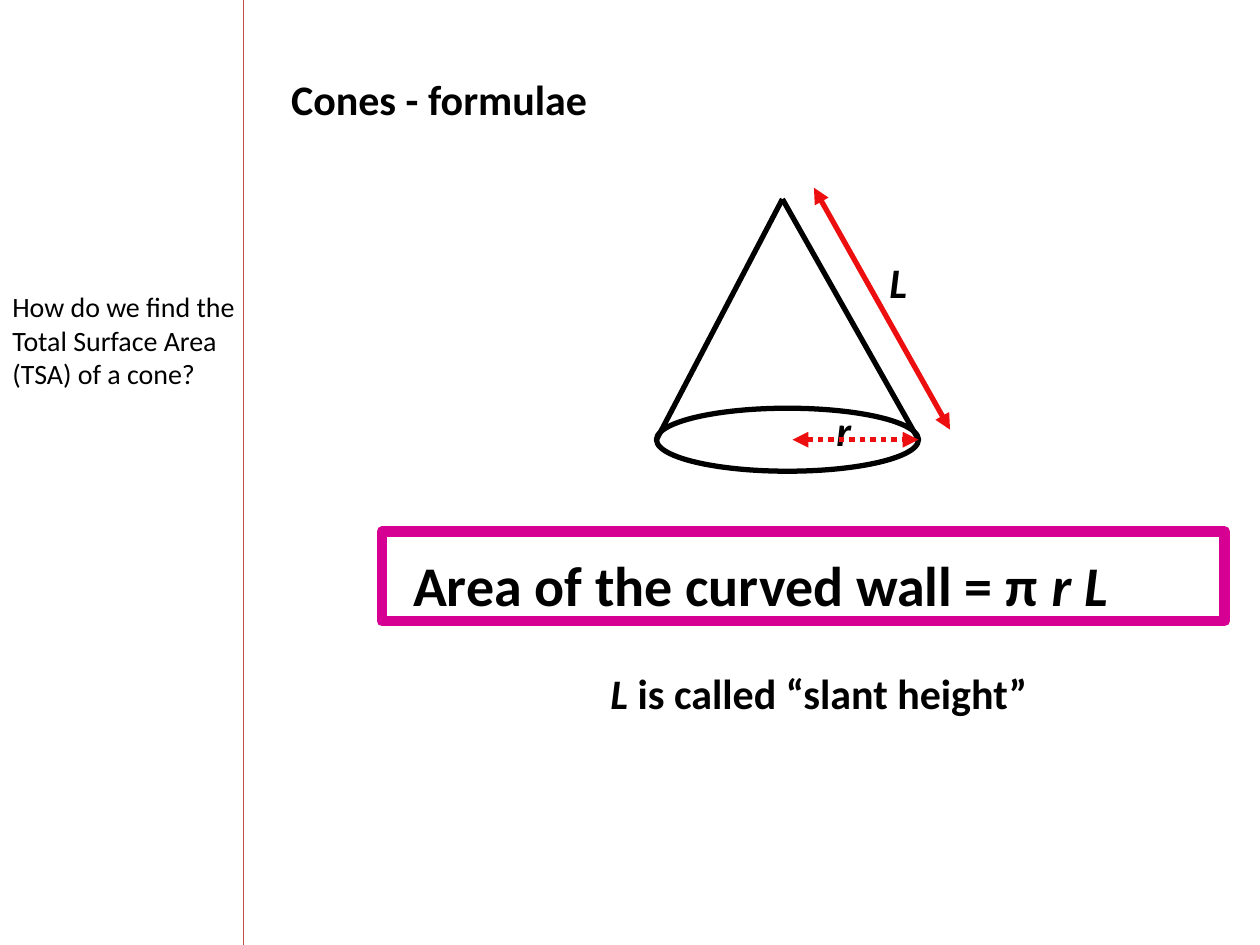
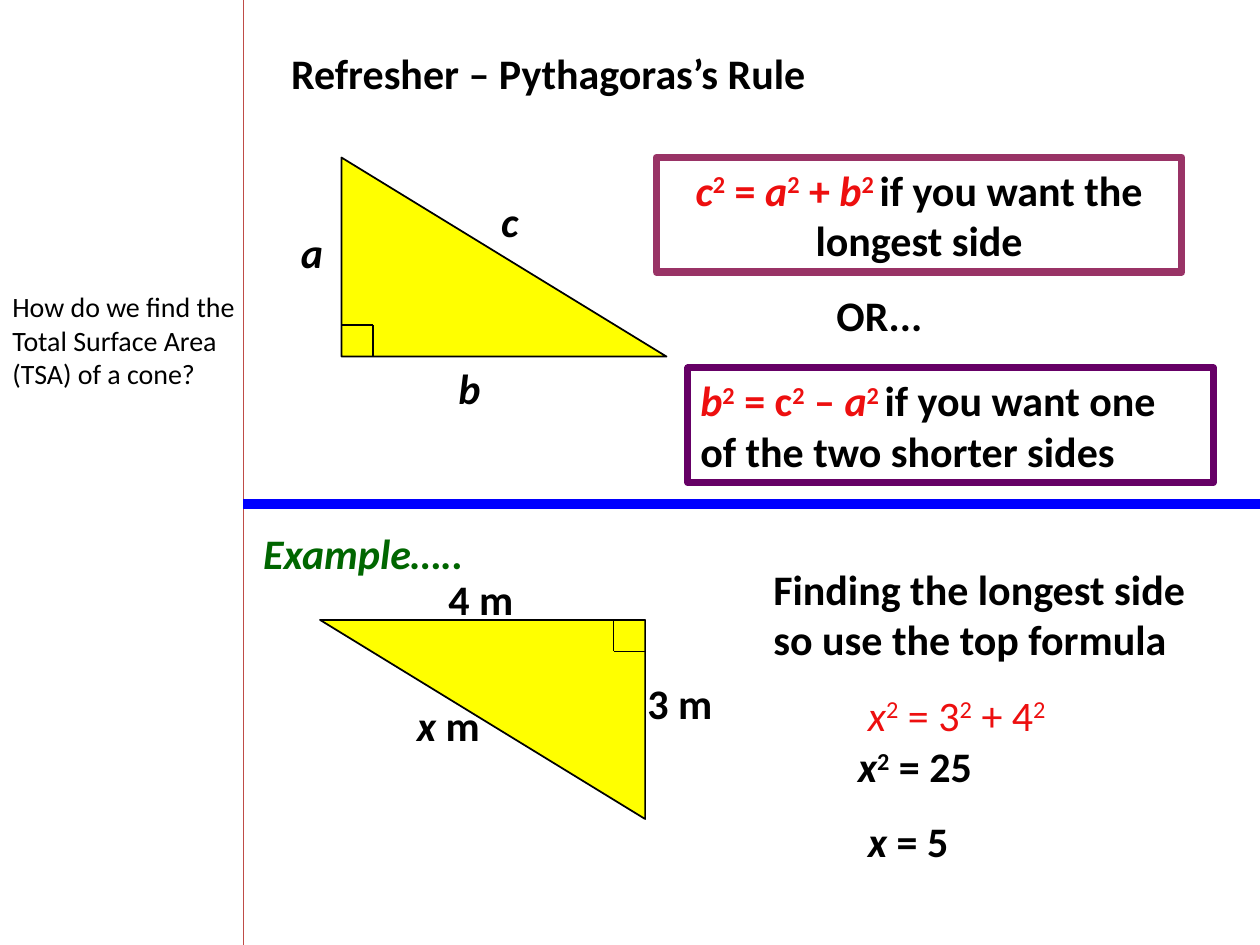
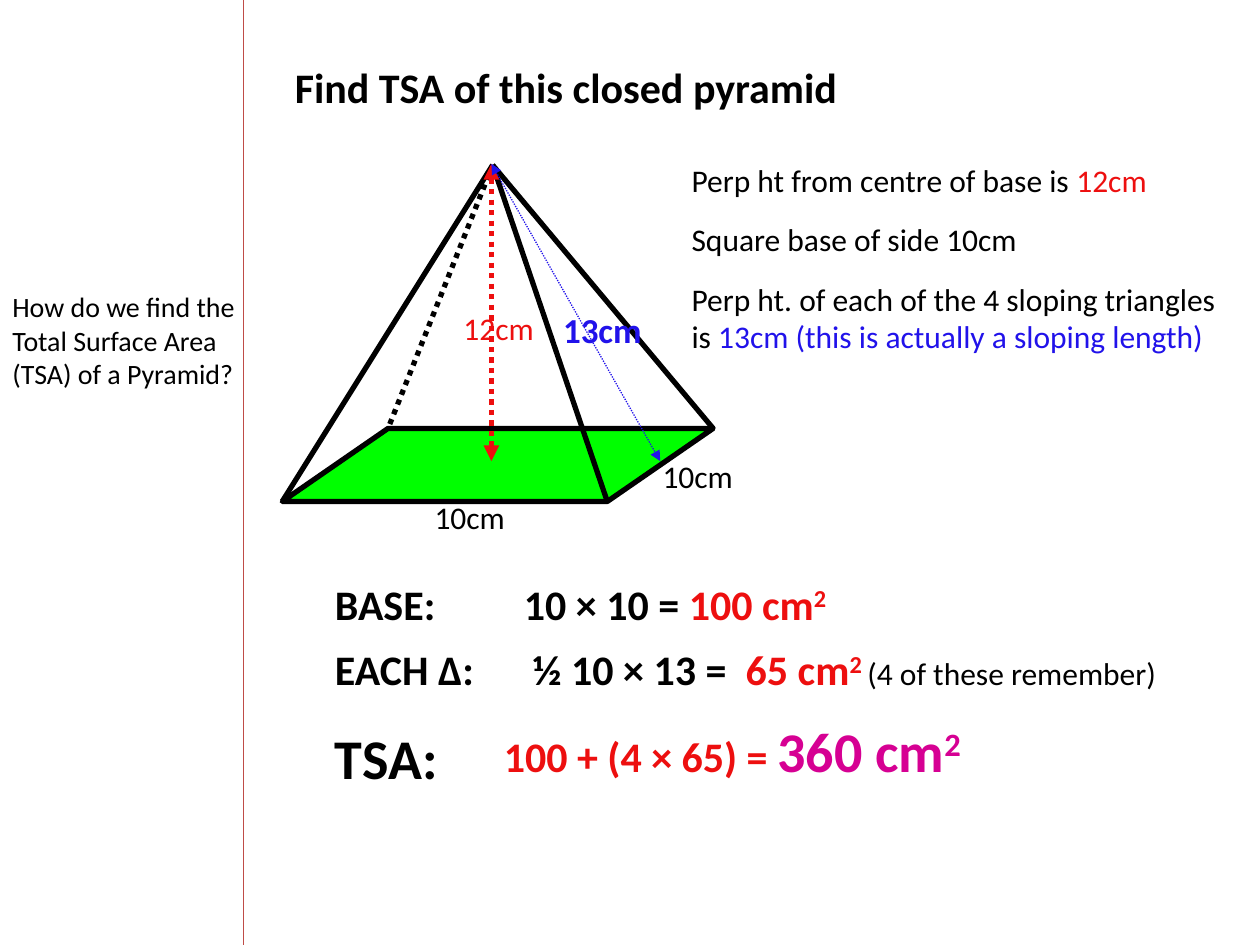
import pptx
import pptx.util
import pptx.dml.color
import pptx.enum.dml
import pptx.enum.shapes
import pptx.enum.text
import pptx.oxml.ns
import lxml.etree

Inches = pptx.util.Inches
SHAPE = pptx.enum.shapes.MSO_SHAPE
ALIGN = pptx.enum.text.PP_ALIGN

FONT = "Calibri"
BLACK, RED, BLUE = "000000", "ED0F0F", "2112EA"
MAGENTA, YELLOW, GREEN = "D60093", "FFFF00", "00FF00"
RULE, DIVIDER, EXAMPLE = "BF4C48", "0000FF", "006600"
PLUM, PURPLE = "993366", "660066"
MARGIN_X = 1.93


def rgb(color):
    return pptx.dml.color.RGBColor.from_string(color)


def sub(parent, tag, **attrs):
    return lxml.etree.SubElement(parent, pptx.oxml.ns.qn(tag), attrs)


# Text: *...* marks italics and ^...^ marks superscript
def add_runs(p, text, size=24, color=BLACK, bold=True):
    italic = raised = False
    part = ""
    for ch in text + "\0":
        if ch not in "*^\0":
            part += ch
            continue
        if part:
            r = p.add_run()
            r.text = part
            r.font.name = FONT
            r.font.size = pptx.util.Pt(size)
            r.font.bold, r.font.italic = bold, italic
            r.font.color.rgb = rgb(color)
            if raised:
                r.font._element.set("baseline", "30000")
        part = ""
        if ch == "*":
            italic = not italic
        elif ch == "^":
            raised = not raised


def write(tf, text, align=ALIGN.LEFT, **fmt):
    """Fill a frame with a string or a list of (string, format changes)."""
    tf.word_wrap = True
    p = tf.paragraphs[0]
    p.alignment = align
    for piece, changes in [(text, {})] if isinstance(text, str) else text:
        add_runs(p, piece, **{**fmt, **changes})


def height_for(size, lines=1):
    return round(lines * size * 1.22 / 72 + 0.1, 2)


def label(s, text, x, y, w, lines=1, size=24, **fmt):
    sp = s.shapes.add_textbox(Inches(x), Inches(y), Inches(w),
                              Inches(height_for(size, lines)))
    write(sp.text_frame, text, size=size, **fmt)
    return sp


# Shapes and lines
def shape(s, kind, x, y, w, h, fill=None, color=BLACK, width=3):
    sp = s.shapes.add_shape(kind, Inches(x), Inches(y), Inches(w), Inches(h))
    sp.shadow.inherit = False
    if fill:
        sp.fill.solid()
        sp.fill.fore_color.rgb = rgb(fill)
    else:
        sp.fill.background()
    sp.line.color.rgb = rgb(color)
    sp.line.width = pptx.util.Pt(width)
    return sp


def line(s, start, end, color=BLACK, width=3, dotted=False, arrows=False):
    c = s.shapes.add_connector(pptx.enum.shapes.MSO_CONNECTOR.STRAIGHT,
                               *(Inches(v) for v in (*start, *end)))
    c.line.color.rgb = rgb(color)
    c.line.width = pptx.util.Pt(width)
    if dotted:
        c.line.dash_style = pptx.enum.dml.MSO_LINE.ROUND_DOT
    if arrows:
        ln = c.line._get_or_add_ln()
        sub(ln, "a:headEnd", type="triangle")
        sub(ln, "a:tailEnd", type="triangle")
    sub(c._element.spPr, "a:effectLst")


def formula_box(s, text, x, y, color, width, **fmt):
    sp = shape(s, SHAPE.RECTANGLE, x, y, 4.17, 0.91, color=color, width=width)
    write(sp.text_frame, text, **fmt)


# Parts shared by every slide
def new_slide(prs, title, solid, x, y, w):
    s = prs.slides.add_slide(prs.slide_layouts[5])
    line(s, (MARGIN_X, 0), (MARGIN_X, 7.5), RULE, 0.75)
    label(s, f"How do we find the Total Surface Area (TSA) of a {solid}?",
          0, 2.25, 2.01, lines=3, size=16, bold=False)
    sp = s.shapes.title
    sp.left, sp.top, sp.width = Inches(x), Inches(y), Inches(w)
    sp.height = Inches(height_for(24))
    tf = sp.text_frame
    tf.auto_size = pptx.enum.text.MSO_AUTO_SIZE.NONE
    tf.vertical_anchor = pptx.enum.text.MSO_ANCHOR.TOP
    write(tf, title)
    return s


# Drawings
def cone(s, x, y, w, h):
    base_h = 0.5
    base_y = y + h - base_h / 2
    apex, right = (x + 1, y), (x + w, base_y)
    shape(s, SHAPE.OVAL, x, y + h - base_h, w, base_h)
    line(s, apex, (x, base_y))
    line(s, apex, right)
    label(s, "*r*", x + 1.33, base_y - 0.33, 0.58)
    line(s, (x + 1.08, base_y), right, RED, dotted=True, arrows=True)
    label(s, "*L*", x + 1.75, y + 0.41, 1)
    # Slant height arrow runs beside the right edge
    line(s, (apex[0] + 0.25, y - 0.09), (right[0] + 0.25, base_y - 0.08),
         RED, arrows=True)


def right_triangle(s, x, y, w, h, turned=False):
    sp = shape(s, SHAPE.RIGHT_TRIANGLE, x, y, w, h, YELLOW, width=1)
    corner_x, corner_y, step = x, y + h, 0.25
    if turned:
        sp.rotation = 180
        corner_x, corner_y, step = x + w, y, -step
    inner = (corner_x + step, corner_y - step)
    line(s, (corner_x, inner[1]), inner, width=1)
    line(s, inner, (inner[0], corner_y), width=1)


def pyramid(s, x, y, w, h):
    depth, lean = 0.58, 0.84
    back, front = y + h - depth, y + h
    apex = (x + 1.67, y)
    base = shape(s, SHAPE.PARALLELOGRAM, x, back, w, depth, GREEN)
    base.adjustments[0] = lean / depth
    for corner in ((x, front), (x + w - lean, front), (x + w, back)):
        line(s, apex, corner)
    line(s, apex, (x + lean, back), dotted=True)
    label(s, "10cm", x + 1.11, front - 0.08, 1.02, size=18, bold=False)
    label(s, "10cm", x + 2.92, front - 0.4, 1.02, size=18, bold=False)
    # Perpendicular height and slope height
    top, centre_y = (x + 1.66, y - 0.01), front - 0.32
    line(s, top, (top[0], centre_y), RED, dotted=True, arrows=True)
    label(s, "12cm", x + 1.34, y + 1.09, 1.02, size=18, color=RED, bold=False)
    line(s, top, (x + 3, centre_y), BLUE, 0.75, dotted=True, arrows=True)
    label(s, "13cm", x + 2.13, y + 1.09, 1.02, size=20, color=BLUE)


# Halves of the Pythagoras slide
def rule_half(s, x, y):
    right_triangle(s, x, y, 2.58, 1.58)
    label(s, "*a*", x - 0.42, y + 0.5, 0.67)
    label(s, "*c*", x + 1.17, y + 0.25, 0.67)
    label(s, "*b*", x + 0.83, y + 1.58, 0.67)
    formula_box(s, [("*c*^2^ = *a*^2^ + *b*^2 ^", {"color": RED}),
                    ("if you want the longest side", {})],
                x + 2.5, y, PLUM, 4.25, align=ALIGN.CENTER)
    label(s, "OR...", x + 3.83, y + 1, 1)
    formula_box(s, [("*b*^2^ = c^2^ – *a*^2 ^", {"color": RED}),
                    ("if you want one of the two shorter sides", {})],
                x + 2.75, y + 1.67, PURPLE, 4)


def example_half(s, x, y):
    label(s, "*Example…..*", x - 0.55, y - 0.78, 2.36, color=EXAMPLE)
    right_triangle(s, x, y, 2.58, 1.58, turned=True)
    label(s, "4 m", x + 0.92, y - 0.42, 0.92)
    label(s, "3 m", x + 2.5, y + 0.41, 0.92)
    label(s, "*x* m", x + 0.67, y + 0.58, 0.92)
    label(s, "Finding the longest side so use the top formula",
          x + 3.5, y - 0.5, 3.67, lines=2)
    label(s, "*x*^2^ = 3^2^ + 4^2^", x + 4.25, y + 0.5, 2.17,
          color=RED, bold=False)
    label(s, "*x*^2^ = 25", x + 4.17, y + 0.91, 2.17)
    label(s, "*x* = 5", x + 4.25, y + 1.5, 2.67)


# Text regions of the pyramid slide
def facts(s, x, y, w):
    rows = [
        [("Perp ht from centre of base is ", {}), ("12cm", {"color": RED})],
        "Square base of side 10cm",
        [("Perp ht. of each of the 4 sloping triangles is ", {}),
         ("13cm (this is actually a sloping length)", {"color": BLUE})],
    ]
    for i, text in enumerate(rows):
        label(s, text, x, y + 0.47 * i, w, lines=1 + i // 2, size=18,
              bold=False)


def working(s, x, y):
    red = {"color": RED}
    rows = [  # name, size, top, sum, sum left, sum top
        ("BASE:", 24, 0, [("10 × 10 = ", {}), ("100 cm^2^", red)], 1.5, 0),
        ("EACH Δ:", 24, 0.52,
         [("½ 10 × 13 = ", {}), (" 65 cm^2 ^", red),
          ("(4 of these remember)", {"size": 18, "bold": False})], 1.57, 0.52),
        ("TSA:", 32, 1.15,
         [("100 + (4 × 65) = ", {"color": RED, "size": 24}),
          ("360 cm^2^", {"color": MAGENTA})], 1.34, 1.1),
    ]
    for name, size, top, total, total_x, total_y in rows:
        label(s, name, x, y + top, 1.65, size=size)
        label(s, total, x + total_x, y + total_y, 5.67, size=size)


# Slides
def cone_slide(prs):
    s = new_slide(prs, "Cones - formulae", "cone", 2.21, 0.53, 4)
    cone(s, 5.21, 1.58, 2.08, 2.16)
    label(s, "*L *is called “slant height”", 3.46, 5.25, 6.08,
          align=ALIGN.CENTER)
    label(s, "Area of the curved wall = π *r L*", 3.18, 4.32, 6.5, size=32)
    shape(s, SHAPE.RECTANGLE, 3.03, 4.22, 6.69, 0.71, color=MAGENTA, width=6)


def pythagoras_slide(prs):
    s = new_slide(prs, "Refresher – Pythagoras’s Rule", "cone",
                  2.21, 0.33, 5.17)
    rule_half(s, 2.71, 1.25)
    line(s, (MARGIN_X, 4), (10, 4), DIVIDER, 6)
    example_half(s, 2.54, 4.92)


def pyramid_slide(prs):
    s = new_slide(prs, "Find TSA of this closed pyramid", "Pyramid",
                  2.24, 0.44, 7.4)
    facts(s, 5.39, 1.23, 4.41)
    working(s, 2.56, 4.54)
    pyramid(s, 2.24, 1.31, 3.42, 2.67)


def main():
    prs = pptx.Presentation()
    prs.slide_width, prs.slide_height = Inches(10), Inches(7.5)
    cone_slide(prs)
    pythagoras_slide(prs)
    pyramid_slide(prs)
    prs.save("out.pptx")


if __name__ == "__main__":
    main()
